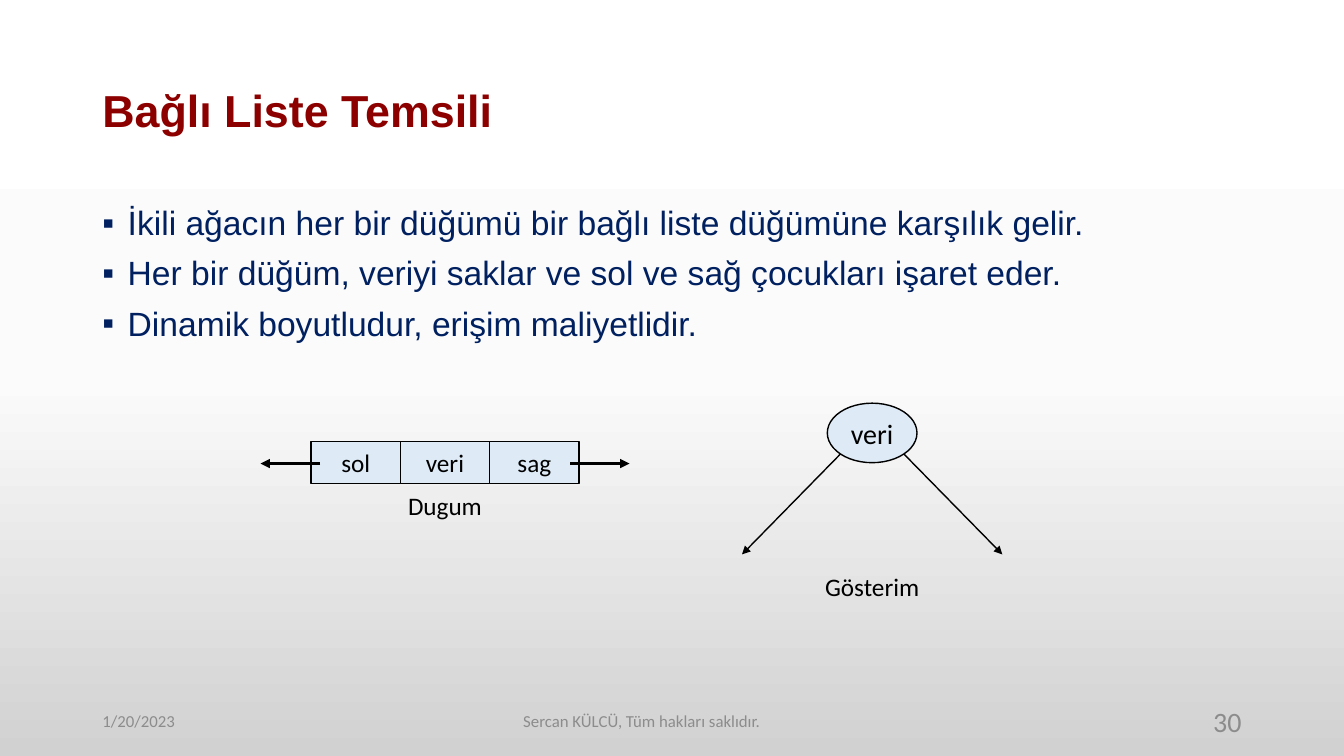
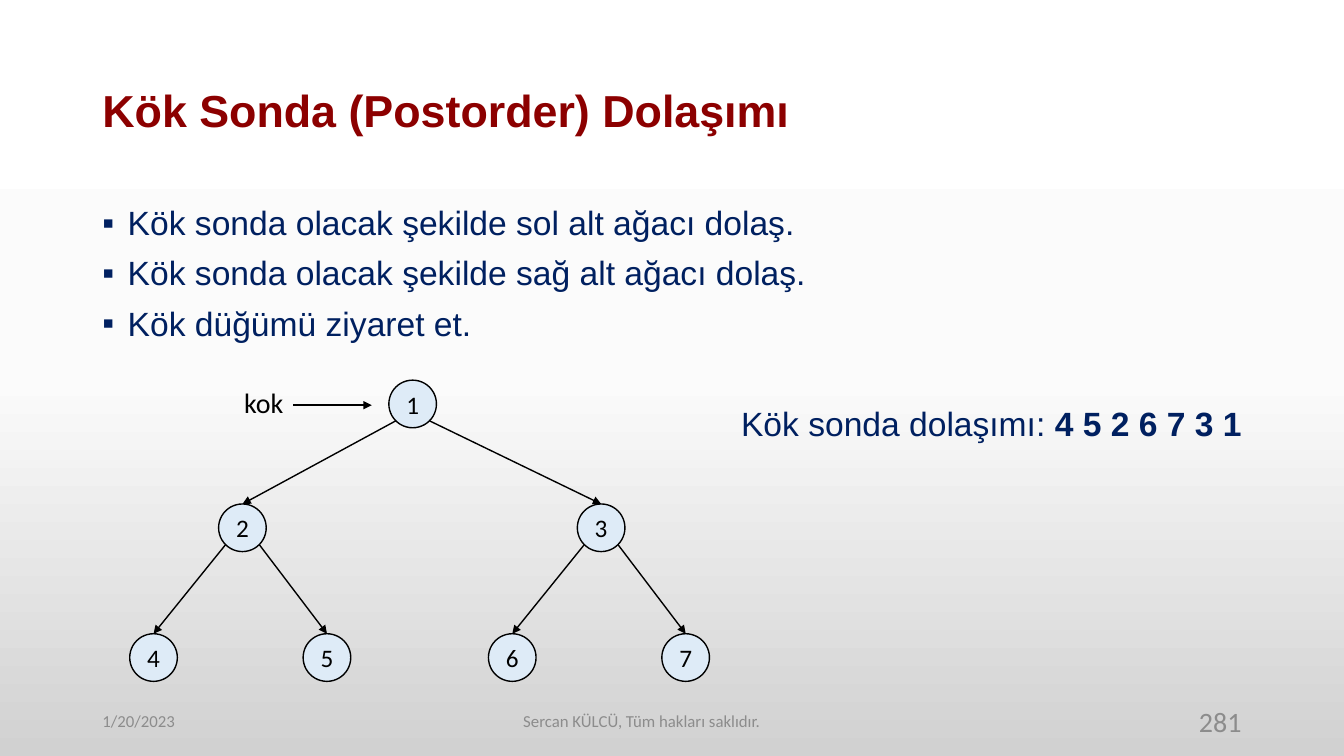
from math import sqrt

from lxml import etree
from pptx import Presentation
from pptx.dml.color import RGBColor
from pptx.enum import shapes, text
from pptx.oxml.ns import qn
from pptx.util import Cm, Pt

LEFT, CENTER, RIGHT, JUSTIFY = (
    text.PP_ALIGN.LEFT, text.PP_ALIGN.CENTER, text.PP_ALIGN.RIGHT, text.PP_ALIGN.JUSTIFY)
TOP, MIDDLE = text.MSO_ANCHOR.TOP, text.MSO_ANCHOR.MIDDLE
RECTANGLE, OVAL = shapes.MSO_SHAPE.RECTANGLE, shapes.MSO_SHAPE.OVAL


def rgb(value):
    return RGBColor.from_string(value)


class Deck:
    """Holds the shared style and the slide being filled."""

    RED, NAVY, GREY, BLACK, PALE = "8C0000", "002060", "8C8C8C", "000000", "DEEBF7"
    GRADIENT = ((0, "FFFFFF"), (50, "FBFBFB"), (100, "D1D1D1"))
    HEADING, BODY = "Arial", "Calibri"
    MARGIN, WIDTH = 2.33, 29.21
    FOOTER_TOP, FOOTER_HEIGHT = 17.66, 1.01
    DATE, OWNER = "1/20/2023", "Sercan KÜLCÜ, Tüm hakları saklıdır."

    def __init__(self):
        self.prs = Presentation()
        self.prs.slide_width, self.prs.slide_height = Cm(33.87), Cm(19.05)
        self.slide = None
        self.paint_background()

    def paint_background(self):
        """Give the master a three-stop gradient running downwards."""
        master = self.prs.slide_master
        fill = master.background.fill
        fill.gradient()
        fill.gradient_angle = 270
        stops = next(master.element.iter(qn("a:gsLst")))
        for stop in list(stops):
            stops.remove(stop)
        for percent, color in self.GRADIENT:
            stop = etree.SubElement(stops, qn("a:gs"), pos=str(percent * 1000))
            etree.SubElement(stop, qn("a:srgbClr"), val=color)

    def new_slide(self, title, number):
        self.slide = self.prs.slides.add_slide(self.prs.slide_layouts[6])
        heading = self.text(title, self.MARGIN, 1.01, self.WIDTH, 3.68, size=32,
                            font=self.HEADING, color=self.RED, anchor=MIDDLE)
        heading.line_spacing = 0.9
        heading.runs[0].font.bold = True
        for content, left, width, align, size in (
                (self.DATE, self.MARGIN, 7.62, LEFT, 12),
                (self.OWNER, 6.55, 19.25, CENTER, 12),
                (str(number), 23.92, 7.62, RIGHT, 20)):
            self.text(content, left, self.FOOTER_TOP, width, self.FOOTER_HEIGHT,
                      size=size, color=self.GREY, align=align, anchor=MIDDLE)

    def format(self, paragraph, size, font, color, align):
        paragraph.alignment = align
        for run in paragraph.runs:
            run.font.size, run.font.name = Pt(size), font
            run.font.color.rgb = rgb(color)

    def text(self, content, left, top, width, height, size=18, font=BODY,
             color=BLACK, align=LEFT, anchor=TOP, wrap=True):
        """Add a one-paragraph text box and return its paragraph."""
        frame = self.slide.shapes.add_textbox(
            Cm(left), Cm(top), Cm(width), Cm(height)).text_frame
        frame.word_wrap, frame.vertical_anchor = wrap, anchor
        frame.text = content
        self.format(frame.paragraphs[0], size, font, color, align)
        return frame.paragraphs[0]

    def label(self, content, center, top, size=18):
        self.text(content, center - 1.5, top, 3, 1.01, size=size, align=CENTER, wrap=False)

    def bullets(self, lines):
        frame = self.slide.shapes.add_textbox(
            Cm(self.MARGIN), Cm(5.08), Cm(self.WIDTH), Cm(4.2)).text_frame
        frame.word_wrap = True
        frame.text = "\n".join(lines)
        for i, paragraph in enumerate(frame.paragraphs):
            properties = paragraph._p.get_or_add_pPr()
            properties.set("marL", str(Cm(0.64)))
            properties.set("indent", str(-Cm(0.64)))
            etree.SubElement(properties, qn("a:buFont"), typeface=self.HEADING)
            etree.SubElement(properties, qn("a:buChar"), char="▪")
            paragraph.line_spacing = 0.9
            if i:
                paragraph.space_before = Pt(10)
            self.format(paragraph, 24, self.HEADING, self.NAVY, JUSTIFY)

    def result(self, caption, order, top):
        """Add a right-aligned line whose second part is bold."""
        line = self.text(caption, self.MARGIN, top, self.WIDTH, 1.3)
        line.add_run().text = order
        line.line_spacing = 0.9
        self.format(line, 24, self.HEADING, self.NAVY, RIGHT)
        line.runs[1].font.bold = True

    def cell(self, kind, content, left, top, width, height, size=18):
        shape = self.slide.shapes.add_shape(kind, Cm(left), Cm(top), Cm(width), Cm(height))
        shape.shadow.inherit = False
        shape.fill.solid()
        shape.fill.fore_color.rgb = rgb(self.PALE)
        shape.line.color.rgb, shape.line.width = rgb(self.BLACK), Pt(1)
        frame = shape.text_frame
        frame.word_wrap, frame.vertical_anchor = False, MIDDLE
        frame.text = content
        self.format(frame.paragraphs[0], size, self.BODY, self.BLACK, CENTER)
        return shape

    def arrow(self, x1, y1, x2, y2, weight=1.0, target=None):
        """Draw an arrow; a target is joined at the middle of its top."""
        line = self.slide.shapes.add_connector(
            shapes.MSO_CONNECTOR.STRAIGHT, Cm(x1), Cm(y1), Cm(x2), Cm(y2))
        if target is not None:
            line.end_connect(target, 0)
        line.line.color.rgb, line.line.width = rgb(self.BLACK), Pt(weight)
        etree.SubElement(line.line._get_or_add_ln(), qn("a:tailEnd"), type="triangle")
        etree.SubElement(line._element.spPr, qn("a:effectLst"))


def linked_list_slide(deck):
    deck.new_slide("Bağlı Liste Temsili", 30)
    deck.bullets([
        "İkili ağacın her bir düğümü bir bağlı liste düğümüne karşılık gelir.",
        "Her bir düğüm, veriyi saklar ve sol ve sağ çocukları işaret eder.",
        "Dinamik boyutludur, erişim maliyetlidir."])

    record_left, field_width, pointer_y = 7.84, 2.25, 11.68
    for i, field in enumerate(("sol", "veri", "sag")):
        deck.cell(RECTANGLE, field, record_left + i * field_width, 11.12, field_width, 1.07)
    record_center = record_left + 1.5 * field_width
    for side in (-1, 1):
        deck.arrow(record_center + side * 3.15, pointer_y,
                   record_center + side * 4.65, pointer_y, weight=2.25)
    deck.label("Dugum", record_center, 12.22)

    node_x, node_y, node_width, node_height = 21.98, 10.91, 2.26, 1.5
    deck.cell(OVAL, "veri", node_x - node_width / 2, node_y - node_height / 2,
              node_width, node_height, size=20)
    for side in (-1, 1):
        deck.arrow(node_x + side * node_width / sqrt(8), node_y + node_height / sqrt(8),
                   node_x + side * 3.28, 13.97)
    deck.label("Gösterim", node_x, 14.26)


def postorder_slide(deck):
    deck.new_slide("Kök Sonda (Postorder) Dolaşımı", 281)
    deck.bullets([
        "Kök sonda olacak şekilde sol alt ağacı dolaş.",
        "Kök sonda olacak şekilde sağ alt ağacı dolaş.",
        "Kök düğümü ziyaret et."])
    deck.result("Kök sonda dolaşımı: ", "4 5 2 6 7 3 1", 10.14)

    radius, subtree_gap = 0.6, 9.04
    centers = {1: (10.4, 10.18)}
    for i in range(2):
        shift = i * subtree_gap
        centers[2 + i] = (6.11 + shift, 13.3)
        centers[4 + 2 * i] = (3.87 + shift, 16.57)
        centers[5 + 2 * i] = (8.24 + shift, 16.57)
    nodes = {key: deck.cell(OVAL, str(key), x - radius, y - radius, 2 * radius, 2 * radius)
             for key, (x, y) in centers.items()}
    reach = radius / sqrt(2)
    for child in range(2, 8):
        x, y = centers[child // 2]
        side = 1 if child % 2 else -1
        child_x, child_y = centers[child]
        deck.arrow(x + side * reach, y + reach, child_x, child_y - radius,
                   target=nodes[child])
    deck.label("kok", 6.65, 9.6, size=20)
    deck.arrow(7.39, 10.21, 9.37, 10.21)


def main():
    deck = Deck()
    linked_list_slide(deck)
    postorder_slide(deck)
    deck.prs.save("out.pptx")


if __name__ == "__main__":
    main()
